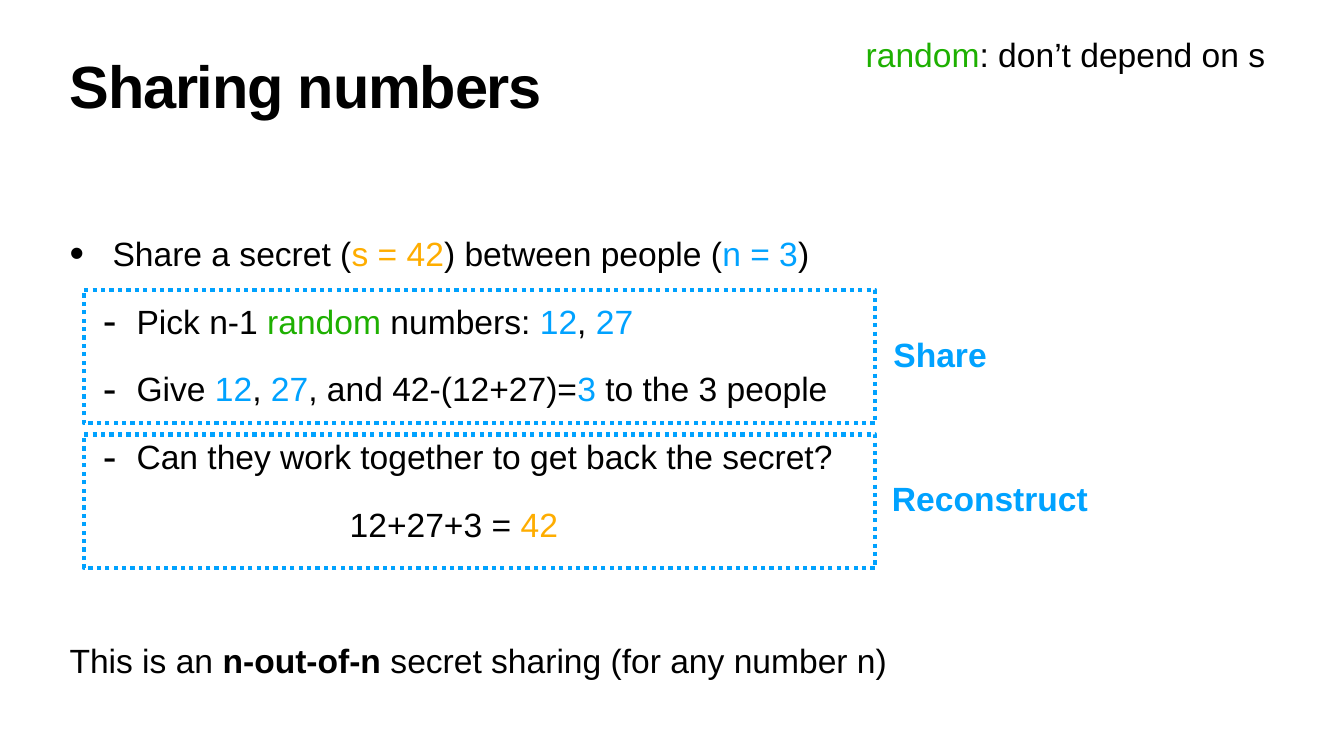
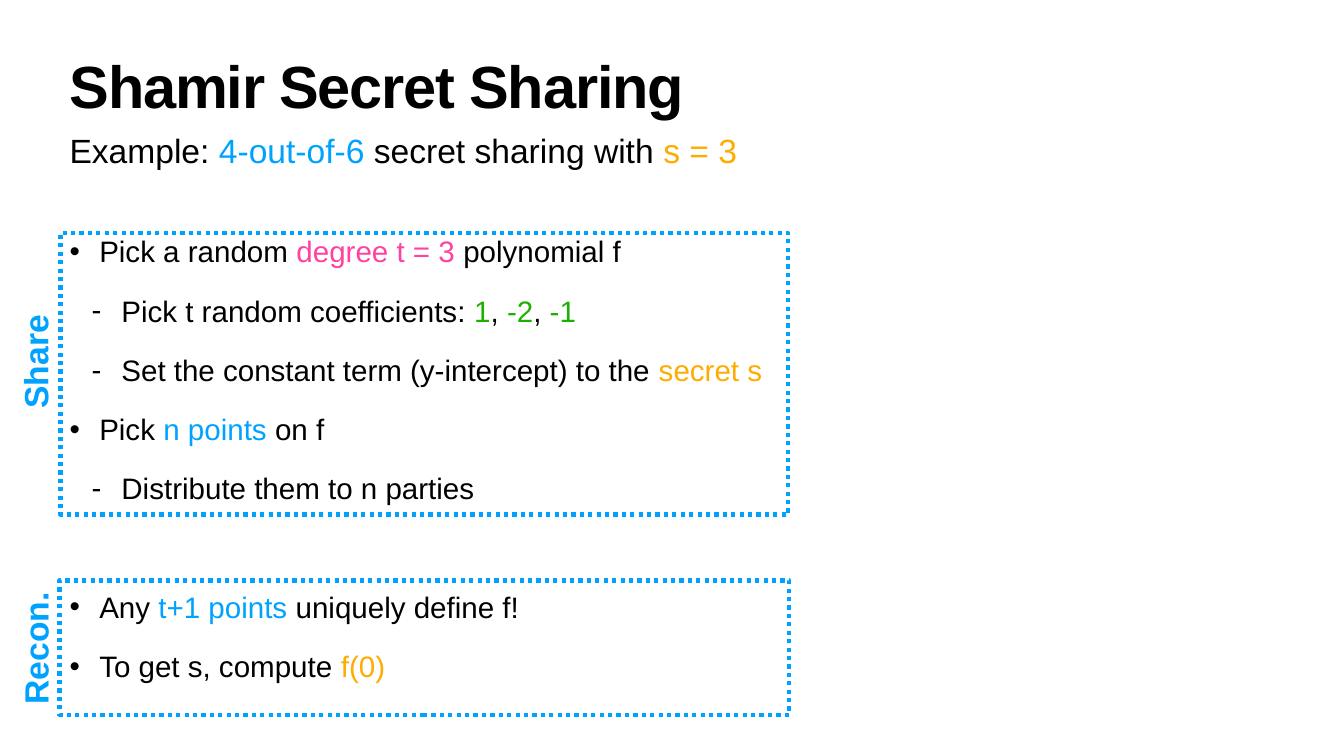
from dataclasses import dataclass
from typing import NamedTuple

from lxml.etree import SubElement
from pptx import Presentation
from pptx.dml.color import RGBColor
from pptx.enum.dml import MSO_LINE_DASH_STYLE as Dash
from pptx.enum.shapes import MSO_SHAPE as Preset
from pptx.enum.text import MSO_ANCHOR as Anchor, MSO_AUTO_SIZE as AutoSize, PP_ALIGN as Align
from pptx.oxml.ns import qn
from pptx.util import Inches, Pt

# Shared style
FONT = "Arial"
BLACK, BLUE, ORANGE = "000000", "00A2FF", "FEAD00"
GREEN, PINK = "1EB001", "FF42A1"
TITLE_SIZE, TEXT_SIZE, LIST_SIZE = 85, 48, 42.2
MARGIN, WIDTH = 1.32, 24.03
LINE_SPACING = 0.9
INSET = 0.06


class Box(NamedTuple):
    left: float
    top: float
    width: float
    height: float


class Span(NamedTuple):
    text: str
    color: str = BLACK
    bold: bool = False


@dataclass
class Para:
    spans: list[Span]
    bullet: str = ""
    indent: float = 0       # left edge of the text
    first: float = 0        # first line, relative to the indent
    before: float = 45
    size: float = TEXT_SIZE
    bullet_percent: int = 100


@dataclass
class Phase:
    """A dotted frame and the label that names it."""
    label: str
    frame: Box
    label_box: Box
    rotation: int = 0


BODY = Box(MARGIN, 4.65, WIDTH, 9.03)


def rgb(color: str) -> RGBColor:
    return RGBColor.from_string(color)


def place(shape, box: Box) -> None:
    shape.left, shape.top, shape.width, shape.height = map(Inches, box)


def set_insets(frame) -> None:
    frame.margin_left = frame.margin_right = Inches(INSET)
    frame.margin_top = frame.margin_bottom = Inches(INSET)


def add_title(page, text: str) -> None:
    title = page.shapes.title
    place(title, Box(MARGIN, 1.18, WIDTH, 1.57))
    frame = title.text_frame
    set_insets(frame)
    frame.auto_size = AutoSize.NONE
    frame.vertical_anchor = Anchor.TOP
    frame.text = text
    para = frame.paragraphs[0]
    para.alignment, para.line_spacing = Align.LEFT, 0.8
    font = para.font
    font.name, font.size, font.bold = FONT, Pt(TITLE_SIZE), True
    font.color.rgb = rgb(BLACK)
    para.runs[0].font._element.set("spc", "-170")


def write_para(para, item: Para) -> None:
    para.line_spacing, para.space_before = LINE_SPACING, Pt(item.before)
    props = para._p.get_or_add_pPr()
    props.set("marL", str(Inches(item.indent)))
    props.set("indent", str(Inches(item.first)))
    if item.bullet:
        SubElement(props, qn("a:buSzPct"), val=str(item.bullet_percent * 1000))
        SubElement(props, qn("a:buFont"), typeface=FONT)
        SubElement(props, qn("a:buChar"), char=item.bullet)
    para.font.name, para.font.size = FONT, Pt(item.size)
    for span in item.spans:
        run = para.add_run()
        run.text = span.text
        run.font.color.rgb = rgb(span.color)
        if span.bold:
            run.font.bold = True


def add_text(page, box: Box, items: list[Para], is_label: bool = False, rotation: int = 0) -> None:
    shape = page.shapes.add_textbox(*map(Inches, box))
    shape.rotation = rotation
    frame = shape.text_frame
    set_insets(frame)
    frame.word_wrap = not is_label
    frame.auto_size = AutoSize.SHAPE_TO_FIT_TEXT if is_label else AutoSize.NONE
    frame.vertical_anchor = Anchor.MIDDLE if is_label else Anchor.TOP
    for index, item in enumerate(items):
        write_para(frame.add_paragraph() if index else frame.paragraphs[0], item)


def add_phase(page, phase: Phase) -> None:
    outline = page.shapes.add_shape(Preset.RECTANGLE, *map(Inches, phase.frame))
    outline.shadow.inherit = False
    outline.fill.background()
    outline.line.color.rgb = rgb(BLUE)
    outline.line.width = Pt(6)
    outline.line.dash_style = Dash.ROUND_DOT
    label = Para([Span(phase.label, BLUE, True)])
    add_text(page, phase.label_box, [label], is_label=True, rotation=phase.rotation)


def add_page(deck, title: str):
    page = deck.slides.add_slide(deck.slide_layouts[5])
    add_title(page, title)
    return page


def build_numbers(deck) -> None:
    def bullet(mark: str, indent: float, *spans: Span) -> Para:
        return Para(list(spans), mark, indent, -0.67, bullet_percent=123)

    page = add_page(deck, "Sharing numbers")
    add_text(page, BODY, [
        bullet("•", 0.67, Span(" Share a secret ("), Span("s = 42", ORANGE),
               Span(") between people ("), Span("n = 3", BLUE), Span(")")),
        bullet("-", 1.33, Span("Pick n-1 "), Span("random", GREEN), Span(" numbers: "),
               Span("12", BLUE), Span(", "), Span("27", BLUE)),
        bullet("-", 1.33, Span("Give "), Span("12", BLUE), Span(", "), Span("27", BLUE),
               Span(", and 42-(12+27)="), Span("3 ", BLUE), Span("to the 3 people")),
        bullet("-", 1.33, Span("Can they work together to get back the secret?")),
        Para([Span("12+27+3 = "), Span("42", ORANGE)], first=5.56),
        Para([Span("This is an "), Span("n-out-of-n", bold=True),
              Span(" secret sharing (for any number n)")], before=142),
    ])
    # Phases of the scheme
    for phase in (
        Phase("Share", Box(1.66, 5.75, 15.71, 2.65), Box(17.67, 6.63, 2.03, 0.9)),
        Phase("Reconstruct", Box(1.66, 8.62, 15.71, 2.65), Box(17.64, 9.49, 4.04, 0.9)),
    ):
        add_phase(page, phase)
    # Remark in the corner
    remark = Para([Span("random", GREEN), Span(": don’t depend on s")])
    add_text(page, Box(17.12, 0.68, 8.24, 0.88), [remark], is_label=True)


def build_shamir(deck) -> None:
    def bullet(mark: str, *spans: Span, before: float = 39) -> Para:
        indent = 0.59 if mark == "•" else 1.03
        return Para(list(spans), mark, indent, -0.59, before, LIST_SIZE)

    page = add_page(deck, "Shamir Secret Sharing")
    example = Para([Span("Example: "), Span("4-out-of-6", BLUE),
                    Span(" secret sharing with "), Span("s = 3", ORANGE)])
    add_text(page, Box(MARGIN, 2.6, WIDTH, 1.02), [example])
    add_text(page, BODY, [
        bullet("•", Span("Pick a random "), Span("degree t = 3 ", PINK), Span("polynomial f")),
        bullet("-", Span("Pick t random coefficients: "), Span("1", GREEN), Span(", "),
               Span("-2", GREEN), Span(", "), Span("-1", GREEN)),
        bullet("-", Span("Set the constant term (y-intercept) to the "),
               Span("secret s", ORANGE)),
        bullet("•", Span("Pick "), Span("n points", BLUE), Span(" on f")),
        bullet("-", Span("Distribute them to n parties")),
        bullet("•", Span("Any "), Span("t+1 points", BLUE), Span(" uniquely define f!"),
               before=123.5),
        bullet("•", Span("To get s, compute "), Span("f(0)", ORANGE)),
    ])
    # Phases of the scheme
    for phase in (
        Phase("Share", Box(1.2, 4.62, 14.44, 5.59), Box(-0.27, 6.7, 2.03, 0.9), 270),
        Phase("Recon.", Box(1.18, 11.52, 14.48, 2.66), Box(-0.43, 12.41, 2.36, 0.9), 270),
    ):
        add_phase(page, phase)


def main() -> None:
    deck = Presentation()
    deck.slide_width, deck.slide_height = Inches(26.67), Inches(15)
    build_numbers(deck)
    build_shamir(deck)
    deck.save("out.pptx")


if __name__ == "__main__":
    main()
